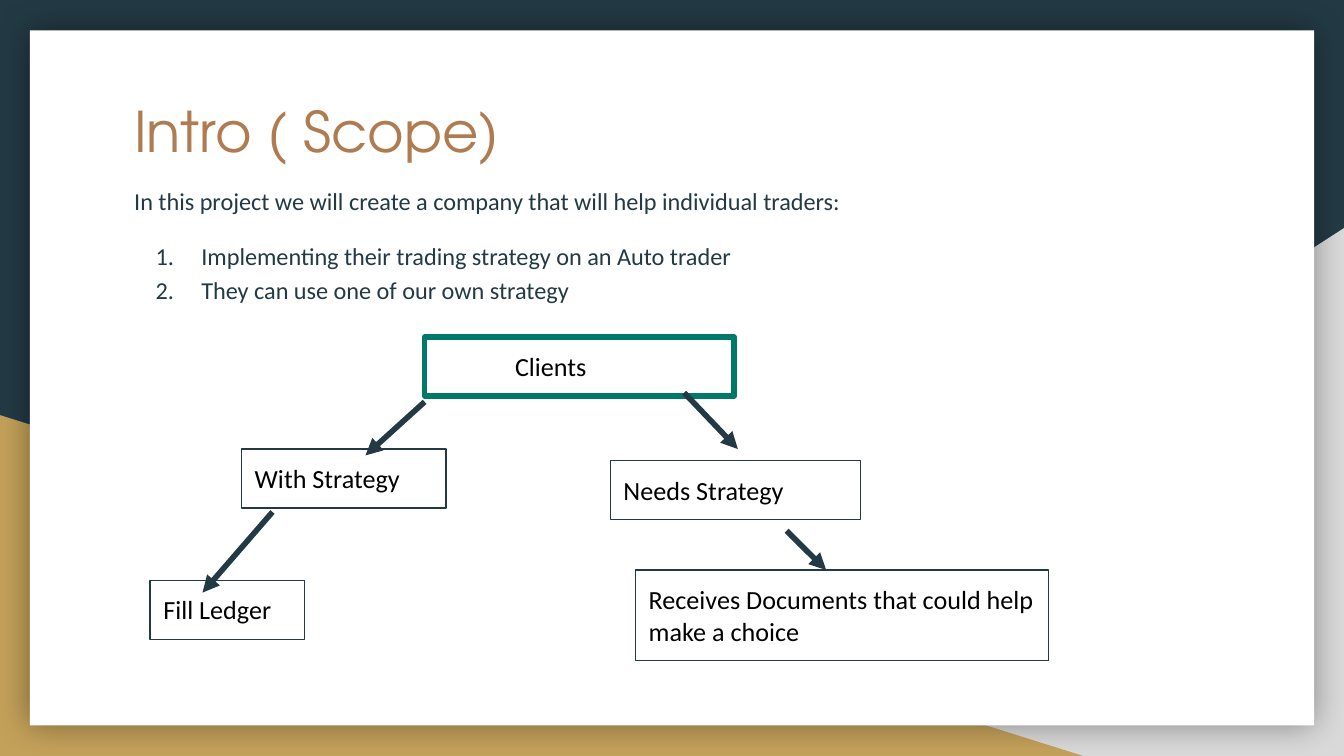
"""Builds the project scope slide with its client flow chart."""
from lxml import etree
from pptx import Presentation
from pptx.dml.color import RGBColor
from pptx.enum.shapes import MSO_CONNECTOR, MSO_SHAPE
from pptx.enum.text import MSO_ANCHOR, PP_ALIGN
from pptx.oxml import parse_xml
from pptx.oxml.ns import qn
from pptx.util import Pt

RECT = MSO_SHAPE.RECTANGLE
WEDGE = MSO_SHAPE.RIGHT_TRIANGLE
LINE = MSO_CONNECTOR.STRAIGHT
LEFT = PP_ALIGN.LEFT
TOP = MSO_ANCHOR.TOP

NAVY, GOLD, GREY, WHITE = "233A44", "C4A15A", "D9D9D9", "FFFFFF"
BROWN, TEAL, BLACK = "AF7B51", "00796B", "000000"
HEAD, BODY = "TeX Gyre Adventor", "Calibri"
INSET = 7.2
SHADOW = (
    '<a:effectLst xmlns:a="http://schemas.openxmlformats.org/drawingml/2006/main">'
    '<a:outerShdw blurRad="228600" dist="0" dir="0" algn="ctr" rotWithShape="0">'
    '<a:srgbClr val="000000"><a:alpha val="40000"/></a:srgbClr>'
    "</a:outerShdw></a:effectLst>"
)


def color(code):
    return RGBColor.from_string(code)


class Deck:
    def __init__(self):
        self.prs = Presentation()
        self.prs.slide_width, self.prs.slide_height = Pt(720), Pt(405)
        self.slide = self.prs.slides.add_slide(self.prs.slide_layouts[6])
        self.shapes = self.slide.shapes
        fill = self.slide.background.fill
        fill.solid()
        fill.fore_color.rgb = color(NAVY)

    def block(self, kind, area, fill, flip=False, shadow=False):
        shape = self.shapes.add_shape(kind, *map(Pt, area))
        shape.fill.solid()
        shape.fill.fore_color.rgb = color(fill)
        shape.line.fill.background()
        if flip:
            shape.element.spPr.find(qn("a:xfrm")).set("flipH", "1")
        if shadow:
            shape.element.spPr.append(parse_xml(SHADOW))
        else:
            shape.shadow.inherit = False

    def label(self, shape, lines, size, font, ink, indent=0):
        frame = shape.text_frame
        frame.text = "\n".join(lines)
        frame.word_wrap = True
        frame.vertical_anchor = TOP
        frame.margin_left = Pt(INSET + indent)
        frame.margin_top = frame.margin_right = frame.margin_bottom = Pt(INSET)
        for para in frame.paragraphs:
            para.alignment = LEFT
            for run in para.runs:
                run.font.size = Pt(size)
                run.font.name = font
                run.font.color.rgb = color(ink)
        return frame.paragraphs

    def text(self, area, lines, size, font, ink):
        shape = self.shapes.add_textbox(*map(Pt, area))
        return self.label(shape, lines, size, font, ink)

    def number(self, para):
        props = para._p.get_or_add_pPr()
        props.set("marL", str(Pt(36)))
        props.set("indent", str(Pt(-24.5)))
        tint = etree.SubElement(props, qn("a:buClr"))
        etree.SubElement(tint, qn("a:srgbClr"), val=NAVY)
        etree.SubElement(props, qn("a:buFont"), typeface=BODY)
        etree.SubElement(props, qn("a:buAutoNum"), type="arabicPeriod")

    def box(self, area, words, line=NAVY, width=0.75, indent=0):
        shape = self.shapes.add_shape(RECT, *map(Pt, area))
        shape.shadow.inherit = False
        shape.fill.background()
        shape.line.color.rgb = color(line)
        shape.line.width = Pt(width)
        self.label(shape, [words], 14, BODY, BLACK, indent)

    def arrow(self, ends):
        link = self.shapes.add_connector(LINE, *map(Pt, ends))
        link.line.color.rgb = color(NAVY)
        link.line.width = Pt(3)
        props = link.element.spPr
        etree.SubElement(props.find(qn("a:ln")), qn("a:tailEnd"), type="triangle")
        etree.SubElement(props, qn("a:effectLst"))


def main():
    deck = Deck()
    deck.block(WEDGE, (282.2, 122.2, 437.8, 282.8), GREY, flip=True)
    deck.block(WEDGE, (0, 222.4, 580.3, 182.6), GOLD)
    deck.block(RECT, (16, 16.3, 688, 372.4), WHITE, shadow=True)

    deck.text((64.8, 44.6, 591, 97.2), ["Intro ( Scope)"], 30, HEAD, BROWN)
    paras = deck.text((64.8, 90, 591, 193), [
        "In this project we will create a company that will help individual traders:",
        "Implementing their trading strategy on an Auto trader",
        "They can use one of our own strategy",
    ], 13, BODY, NAVY)
    for para in paras:
        para.line_spacing = 1.15
    paras[1].space_before = Pt(12)
    for para in paras[1:]:
        deck.number(para)

    high = 31.6
    deck.box((227.5, 180.6, 165.8, high), "Clients", TEAL, 3, 41.2)
    deck.box((129.4, 240.6, 109.6, high), "With Strategy")
    deck.box((326.9, 246.8, 134, high), "Needs Strategy")
    deck.box((80.4, 310.9, 82.8, high), "Fill Ledger")
    deck.box((340.4, 305.4, 221.3, 48.4), "Receives Documents that could help make a choice")

    for ends in (
        (366.5, 210.4, 395.3, 240.6),
        (421.4, 284.4, 442.6, 305.4),
        (227.5, 215.3, 195.8, 244),
        (146, 274.3, 108.5, 317.5),
    ):
        deck.arrow(ends)
    deck.prs.save("out.pptx")


if __name__ == "__main__":
    main()
